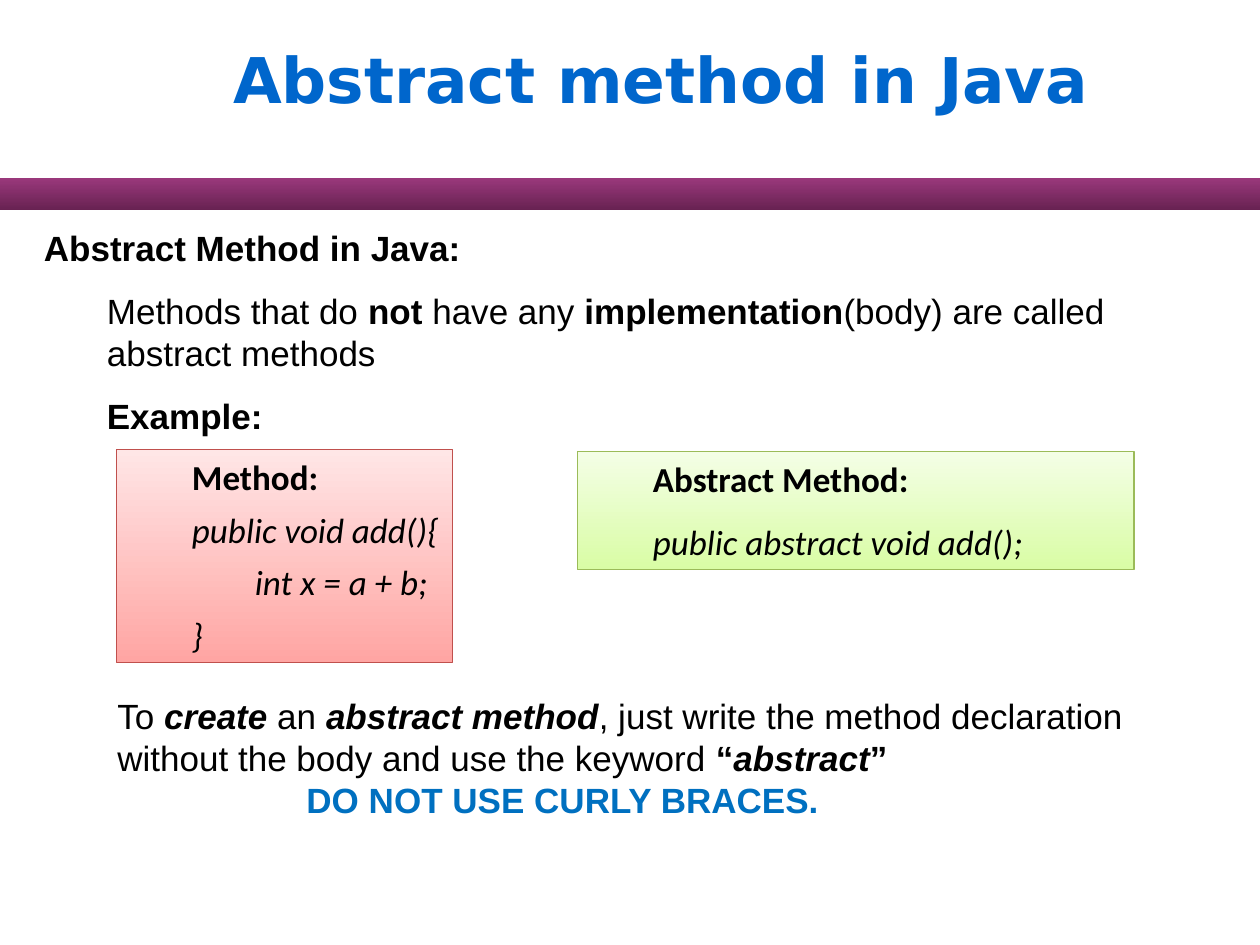
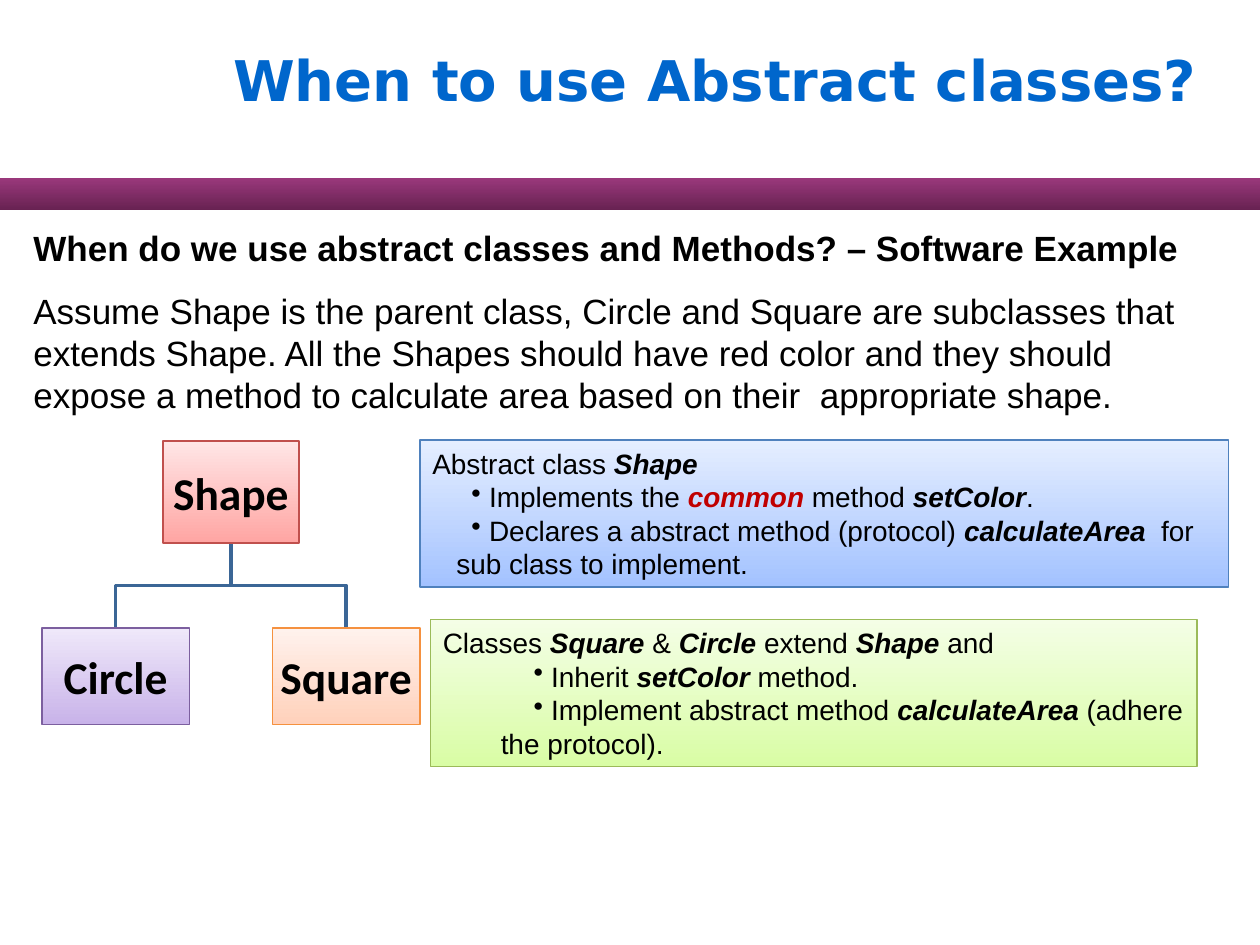
from dataclasses import dataclass

from lxml import etree
from pptx import Presentation
from pptx.dml.color import RGBColor
from pptx.enum.shapes import MSO_SHAPE
from pptx.enum.text import MSO_ANCHOR, MSO_AUTO_SIZE, PP_ALIGN
from pptx.oxml.ns import qn
from pptx.util import Inches, Pt

RECT = MSO_SHAPE.RECTANGLE
LEFT, CENTER = PP_ALIGN.LEFT, PP_ALIGN.CENTER
TOP, MIDDLE = MSO_ANCHOR.TOP, MSO_ANCHOR.MIDDLE
FIXED = MSO_AUTO_SIZE.NONE
COLS, ROWS = 120, 90
WIDTH, HEIGHT = Inches(10), Inches(7.5)


@dataclass(frozen=True)
class Theme:
    """Fonts, type sizes and colours; a skin is (bottom, top, line)."""
    head: str = "DejaVu Sans"
    body: str = "Arial"
    code: str = "Calibri"
    text: int = 20
    small: int = 16
    node: int = 26
    title: str = "0066CC"
    ink: str = "000000"
    warn: str = "C00000"
    note: str = "0070C0"
    edge: str = "3B6696"
    band: tuple = ("682252", "99387B", None)
    red: tuple = ("FFA5A3", "FFE6E6", "C0504D")
    green: tuple = ("D9FDA5", "F4FEE6", "9BBB59")
    blue: tuple = ("A3C2FF", "E5EEFF", "4F81BD")
    violet: tuple = ("C8B3E9", "EFE8FA", "7C5F9F")
    orange: tuple = ("FFD1BB", "FFF2ED", "F5913F")


@dataclass(frozen=True)
class Para:
    """Runs of (text, style), where style mixes b, i, w (warn), n (note)."""
    runs: tuple
    left: float = 0
    first: float = 0
    before: float = 0
    bullet: bool = False


T = Theme()


def rgb(code):
    return RGBColor.from_string(code)


def place(box):
    """Turn columns and rows into slide lengths."""
    x, y, w, h = box
    return (int(x * WIDTH / COLS), int(y * HEIGHT / ROWS),
            int(w * WIDTH / COLS), int(h * HEIGHT / ROWS))


def part(box, x, y, w, h):
    """Box at the given shares of an outer box."""
    left, top, wide, high = box
    return left + x * wide, top + y * high, w * wide, h * high


def style(run, font, size, marks=""):
    color = T.warn if "w" in marks else T.note if "n" in marks else T.ink
    run.font.name, run.font.size = font, Pt(size)
    run.font.bold, run.font.italic = "b" in marks, "i" in marks
    run.font.color.rgb = rgb(color)


def write(shape, paras, font, size, align=LEFT, anchor=TOP, side=0.1):
    frame = shape.text_frame
    frame.word_wrap, frame.auto_size = True, FIXED
    frame.vertical_anchor = anchor
    frame.margin_left, frame.margin_right = Inches(side), Inches(min(side, 0.05))
    frame.margin_top = frame.margin_bottom = Inches(0.05)
    for k, para in enumerate(paras):
        line = frame.add_paragraph() if k else frame.paragraphs[0]
        line.alignment = align
        line.space_before = Pt(para.before if k else 0)
        props = line._p.get_or_add_pPr()
        props.set("marL", str(Inches(para.left)))
        props.set("indent", str(Inches(para.first)))
        if para.bullet:
            etree.SubElement(props, qn("a:buChar")).set("char", "•")
        for text, marks in para.runs:
            run = line.add_run()
            run.text = text
            style(run, font, size, marks)


def panel(slide, box, skin):
    """Rectangle shaded from bottom to top."""
    shape = slide.shapes.add_shape(RECT, *place(box))
    shape.shadow.inherit = False
    low, high, line = skin
    shape.fill.gradient()
    shape.fill.gradient_angle = 90
    for stop, color in zip(shape.fill.gradient_stops, (low, high)):
        stop.color.rgb = rgb(color)
    if line:
        shape.line.color.rgb = rgb(line)
        shape.line.width = Pt(0.75)
    else:
        shape.line.fill.background()
    return shape


def prose(slide, box, paras):
    write(slide.shapes.add_textbox(*place(box)), paras, T.body, T.text)


def start(deck, title, size):
    """New slide with its title and the band below it."""
    slide = deck.slides.add_slide(deck.slide_layouts[5])
    panel(slide, (0, 17, COLS, 3), T.band)
    head = slide.shapes.title
    head.left, head.top, head.width, head.height = place((21, 0, 99, 15))
    frame = head.text_frame
    frame.text = title
    frame.word_wrap, frame.auto_size = True, FIXED
    frame.vertical_anchor = MIDDLE
    frame.paragraphs[0].alignment = LEFT
    run = frame.paragraphs[0].runs[0]
    style(run, T.head, size, "b")
    run.font.color.rgb = rgb(T.title)
    return slide


def sample(slide, box, skin, gap, name, lines):
    """Code panel: a heading, then (code, left indent) lines."""
    paras = [Para(((name, "b"),), left=0.5)]
    paras += [Para(((code, "i"),), left=left, before=gap) for code, left in lines]
    write(panel(slide, box, skin), paras, T.code, T.text)


def facts(slide, box, skin, lead, items, left, first):
    """Panel with a lead line and bulleted items."""
    paras = [Para(lead)]
    paras += [Para(item, left=left, first=first, bullet=True) for item in items]
    write(panel(slide, box, skin), paras, T.body, T.small)


def node(slide, box, skin, name):
    write(panel(slide, box, skin), [Para(((name, "b"),))], T.code, T.node,
          CENTER, MIDDLE, 0.02)


def branch(slide, root, kid):
    """Elbow line from the foot of root to the top of kid."""
    x, y, w, h = place(root)
    left, end, wide, _ = place(kid)
    x, y, left = x + w // 2, y + h, left + wide // 2
    mid = (y + end) // 2
    path = slide.shapes.build_freeform(x, y, scale=1.0)
    path.add_line_segments([(x, mid), (left, mid), (left, end)], close=False)
    line = path.convert_to_shape()
    line.shadow.inherit = False
    line.fill.background()
    line.line.color.rgb = rgb(T.edge)
    line.line.width = Pt(2)


def tree(slide, box, name, kids):
    """Root centred on top, kids spread evenly along the foot."""
    wide, high = 0.39, 0.34
    step = (1 - wide) / (len(kids) - 1)
    root = part(box, 0.32, 0, 0.36, 0.36)
    spots = [part(box, k * step, 1 - high, wide, high) for k in range(len(kids))]
    for spot in spots:
        branch(slide, root, spot)
    node(slide, root, T.red, name)
    for spot, (kid, skin) in zip(spots, kids):
        node(slide, spot, skin, kid)


def method(deck):
    slide = start(deck, "Abstract method in Java", 36)
    prose(slide, (3, 21, 113, 21), [
        Para((("Abstract Method in Java:", "b"),)),
        Para((("Methods that do ", ""), ("not", "b"), (" have any ", ""),
              ("implementation", "b"), ("(body) are called abstract methods", "")),
             left=0.5, before=12),
        Para((("Example:", "b"),), left=0.5, before=12)])
    sample(slide, (11.1, 42.8, 32, 20.3), T.red, 6, "Method:",
           [("public void add(){", 0.5), ("int x = a + b;", 1), ("}", 0.5)])
    sample(slide, (55, 43, 53, 11.25), T.green, 12, "Abstract Method:",
           [("public abstract void add();", 0.5)])
    prose(slide, (10, 65.6, 99, 13.2), [
        Para((("To ", ""), ("create", "bi"), (" an ", ""),
              ("abstract method", "bi"),
              (", just write the method declaration without the body "
               "and use the keyword ", ""),
              ("“", "b"), ("abstract", "bi"), ("”", "b"))),
        Para((("DO NOT USE CURLY BRACES.", "bn"),), left=1.5)])


def usage(deck):
    slide = start(deck, "When to use Abstract classes?", 32)
    prose(slide, (2, 21, 115, 25.2), [
        Para((("When do we use abstract classes and Methods? "
               "– Software Example", "b"),)),
        Para((("Assume Shape is the parent class, Circle and Square are "
               "subclasses that extends Shape. All the Shapes should have red "
               "color and they should expose a method to calculate area based "
               "on their  appropriate shape.", ""),), before=12)])
    tree(slide, (4, 42, 36, 27), "Shape",
         [("Circle", T.violet), ("Square", T.orange)])
    facts(slide, (40, 41.9, 77, 14), T.blue,
          (("Abstract class ", ""), ("Shape", "bi")),
          [((" Implements the ", ""), ("common", "biw"), (" method ", ""),
            ("setColor", "bi"), (".", "")),
           ((" Declares a abstract method (protocol) ", ""),
            ("calculateArea", "bi"), ("  for sub class to implement.", ""))],
          0.19, 0.12)
    facts(slide, (41, 59, 73, 14), T.green,
          (("Classes ", ""), ("Square", "bi"), (" & ", ""), ("Circle", "bi"),
           (" extend ", ""), ("Shape", "bi"), (" and", "")),
          [((" Inherit ", ""), ("setColor", "bi"), (" method.", "")),
           ((" Implement abstract method ", ""), ("calculateArea", "bi"),
            (" (adhere the protocol).", ""))],
          0.46, 0.26)


def main():
    deck = Presentation()
    deck.slide_width, deck.slide_height = WIDTH, HEIGHT
    method(deck)
    usage(deck)
    deck.save("out.pptx")


if __name__ == "__main__":
    main()
